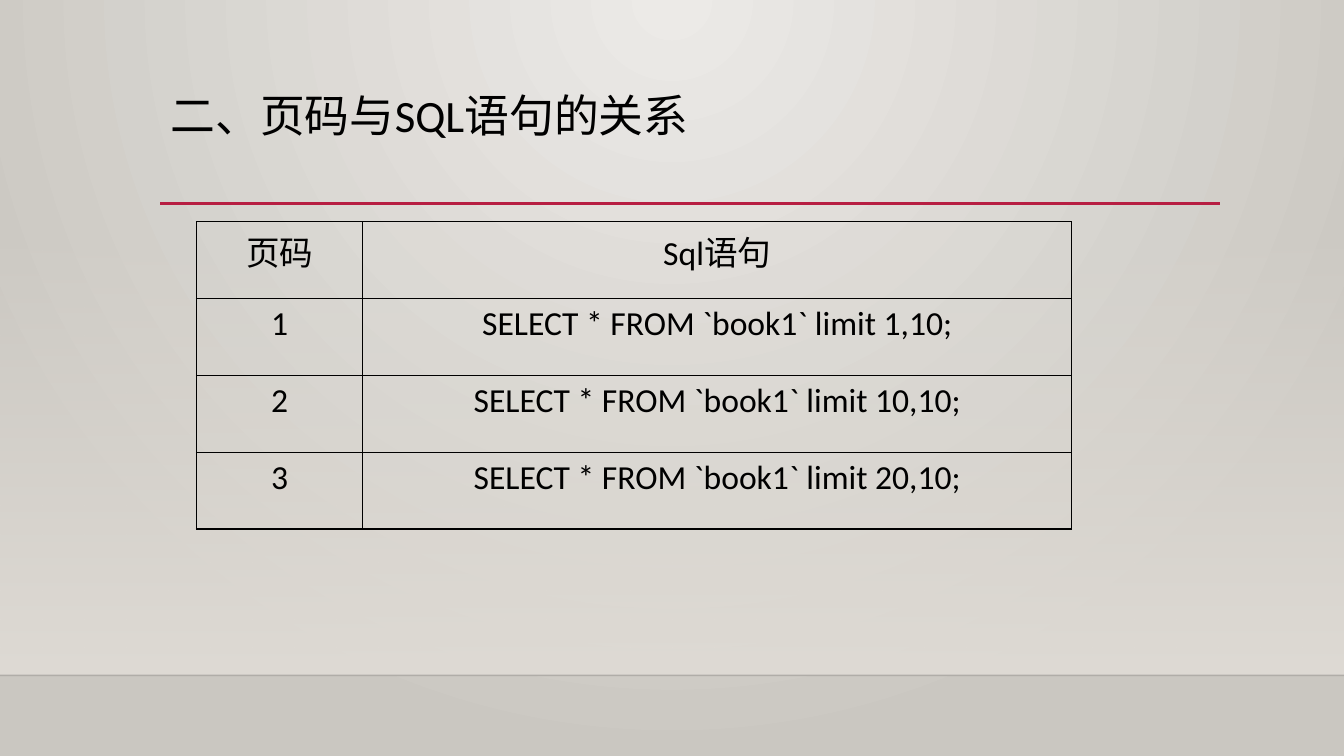
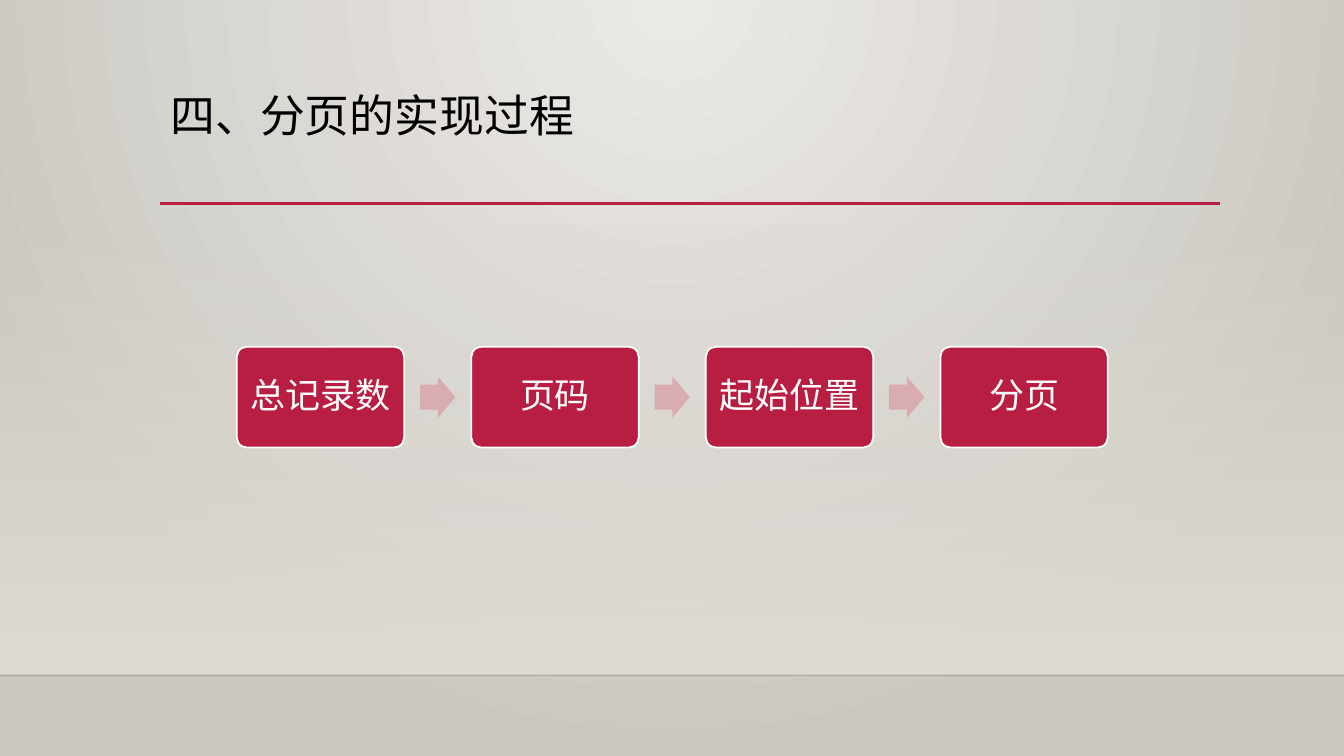
import lxml.etree
import pptx
import pptx.dml.color
import pptx.enum.shapes
import pptx.enum.text
import pptx.oxml.ns
import pptx.util

RGBColor = pptx.dml.color.RGBColor
BLACK = RGBColor(0x00, 0x00, 0x00)
WHITE = RGBColor(0xFF, 0xFF, 0xFF)
CRIMSON = RGBColor(0xB7, 0x1E, 0x42)
ROSE = RGBColor(0xD8, 0xAC, 0xB0)
PALE = RGBColor(0xEC, 0xEA, 0xE7)
STONE = RGBColor(0xCA, 0xC7, 0xC1)
SAND = RGBColor(0xDF, 0xDB, 0xD5)

COLUMNS, ROWS = 160, 90
CELL = pptx.util.Inches(1) / 12
FLOOR = 80.4
RULE = {"start": 19.1, "end": 145.2, "row": 24.24}
TITLE_PLACE = {"left": 19.1, "top": 10.55, "width": 126, "height": 13.8}

CENTER = pptx.enum.text.PP_ALIGN.CENTER
TITLE_PARA = {"alignment": pptx.enum.text.PP_ALIGN.LEFT, "line_spacing": 0.9}
TABLE_PARA = {"alignment": CENTER}
STEP_PARA = {"alignment": CENTER, "line_spacing": 0.9}

SQL_ROWS = [
    ("页码", "Sql语句"),
    ("1", "SELECT * FROM `book1` limit 1,10;"),
    ("2", "SELECT * FROM `book1` limit 10,10;"),
    ("3", "SELECT * FROM `book1` limit 20,10;"),
]
STEPS = ["总记录数", "页码", "起始位置", "分页"]


def grid(*counts):
    return [pptx.util.Emu(round(count * CELL)) for count in counts]


def apply(target, values):
    for name, value in values.items():
        setattr(target, name, value)


def add_xml(parent, tag, **attributes):
    return lxml.etree.SubElement(parent, pptx.oxml.ns.qn(tag), attributes)


def write(frame, text, size, color, para_format):
    frame.text = text
    para = frame.paragraphs[0]
    apply(para, para_format)
    font = para.runs[0].font
    apply(font, {"name": "Calibri", "size": pptx.util.Pt(size)})
    font.color.rgb = color


def set_opacity(element, percent):
    color = next(element.iter(pptx.oxml.ns.qn("a:srgbClr")))
    add_xml(color, "a:alpha", val=str(percent * 1000))


def set_gradient(fill, first, last):
    fill.gradient()
    for stop, color in zip(fill.gradient_stops, (first, last)):
        stop.color.rgb = color


def add_box(page, kind, place, color=None):
    box = page.shapes.add_shape(kind, *grid(*place))
    box.shadow.inherit = False
    box.line.fill.background()
    if color is not None:
        box.fill.solid()
        box.fill.fore_color.rgb = color
    return box


def add_rule(page, start, end, row, color, width):
    straight = pptx.enum.shapes.MSO_CONNECTOR.STRAIGHT
    rule = page.shapes.add_connector(straight, *grid(start, row, end, row))
    rule.line.color.rgb = color
    rule.line.width = pptx.util.Pt(width)
    add_xml(rule.element.spPr, "a:effectLst")
    return rule


def style_background(master):
    fill = master.background.fill
    set_gradient(fill, PALE, STONE)
    gradient = next(master.element.iter(pptx.oxml.ns.qn("a:gradFill")))
    gradient.remove(gradient.find(pptx.oxml.ns.qn("a:lin")))
    circle = add_xml(gradient, "a:path", path="circle")
    add_xml(circle, "a:fillToRect", l="43000", t="0", r="43000", b="100000")


def style_layout(layout, page):
    rectangle = pptx.enum.shapes.MSO_SHAPE.RECTANGLE
    wall = add_box(page, rectangle, (0, 26.5, COLUMNS, FLOOR - 26.5))
    set_gradient(wall.fill, SAND, SAND)
    wall.fill.gradient_angle = 270
    set_opacity(wall.element, 0)
    floor_line = add_rule(page, 0, COLUMNS, FLOOR, BLACK, 1)
    set_opacity(floor_line.element, 20)
    title_rule = add_rule(page, **RULE, color=CRIMSON, width=2.5)
    for order, shape in enumerate((wall, floor_line, title_rule)):
        label = next(shape.element.iter(pptx.oxml.ns.qn("p:cNvPr")))
        label.set("id", str(100 + order))
        layout.shapes.element.insert(2 + order, shape.element)
    title = layout.placeholders[0]
    apply(title, dict(zip(TITLE_PLACE, grid(*TITLE_PLACE.values()))))
    apply(title.text_frame, {
        "vertical_anchor": pptx.enum.text.MSO_ANCHOR.TOP,
        "auto_size": pptx.enum.text.MSO_AUTO_SIZE.NONE,
    })


def add_page(deck, layout, title):
    page = deck.slides.add_slide(layout)
    write(page.shapes.title.text_frame, title, 32, BLACK, TITLE_PARA)
    return page


def add_borders(cell):
    properties = cell._tc.get_or_add_tcPr()
    for order, side in enumerate(("a:lnL", "a:lnR", "a:lnT", "a:lnB")):
        border = add_xml(properties, side, w=str(pptx.util.Pt(1)))
        fill = add_xml(border, "a:solidFill")
        add_xml(fill, "a:srgbClr", val=str(BLACK))
        properties.insert(order, border)


def add_sql_table(page, left, top, widths, row_height):
    place = grid(left, top, sum(widths), row_height * len(SQL_ROWS))
    table = page.shapes.add_table(len(SQL_ROWS), len(widths), *place).table
    apply(table, {"first_row": False, "horz_banding": False})
    for column, width in zip(table.columns, grid(*widths)):
        column.width = width
    for row, texts in zip(table.rows, SQL_ROWS):
        row.height = grid(row_height)[0]
        for cell, text in zip(row.cells, texts):
            cell.fill.background()
            add_borders(cell)
            write(cell.text_frame, text, 24, BLACK, TABLE_PARA)


def add_step(page, place, text):
    step = add_box(page, pptx.enum.shapes.MSO_SHAPE.ROUNDED_RECTANGLE, place, CRIMSON)
    step.adjustments[0] = 0.1
    step.line.color.rgb = WHITE
    step.line.width = pptx.util.Pt(1.25)
    frame = step.text_frame
    apply(frame, {
        "word_wrap": False,
        "vertical_anchor": pptx.enum.text.MSO_ANCHOR.MIDDLE,
    })
    write(frame, text, 25, WHITE, STEP_PARA)


def add_process(page, left, top, width, height, gap):
    arrow_width, arrow_height = 4.2, 4.92
    arrow_top = top + (height - arrow_height) / 2
    for order, text in enumerate(STEPS):
        step_left = left + order * (width + gap)
        if order:
            arrow_left = step_left - (gap + arrow_width) / 2
            arrow_place = (arrow_left, arrow_top, arrow_width, arrow_height)
            arrow = add_box(page, pptx.enum.shapes.MSO_SHAPE.RIGHT_ARROW, arrow_place, ROSE)
            arrow.adjustments[0] = 0.6
        add_step(page, (step_left, top, width, height), text)


def main():
    deck = pptx.Presentation()
    deck.slide_width, deck.slide_height = grid(COLUMNS, ROWS)
    layout = deck.slide_layouts[5]
    style_background(deck.slide_master)
    table_page = add_page(deck, layout, "二、页码与SQL语句的关系")
    style_layout(layout, table_page)
    add_sql_table(table_page, left=23.4, top=26.4, widths=(19.8, 84.36), row_height=9.15)
    process_page = add_page(deck, layout, "四、分页的实现过程")
    add_process(process_page, left=28.2, top=41.28, width=19.92, height=12, gap=8)
    deck.save("out.pptx")


if __name__ == "__main__":
    main()
